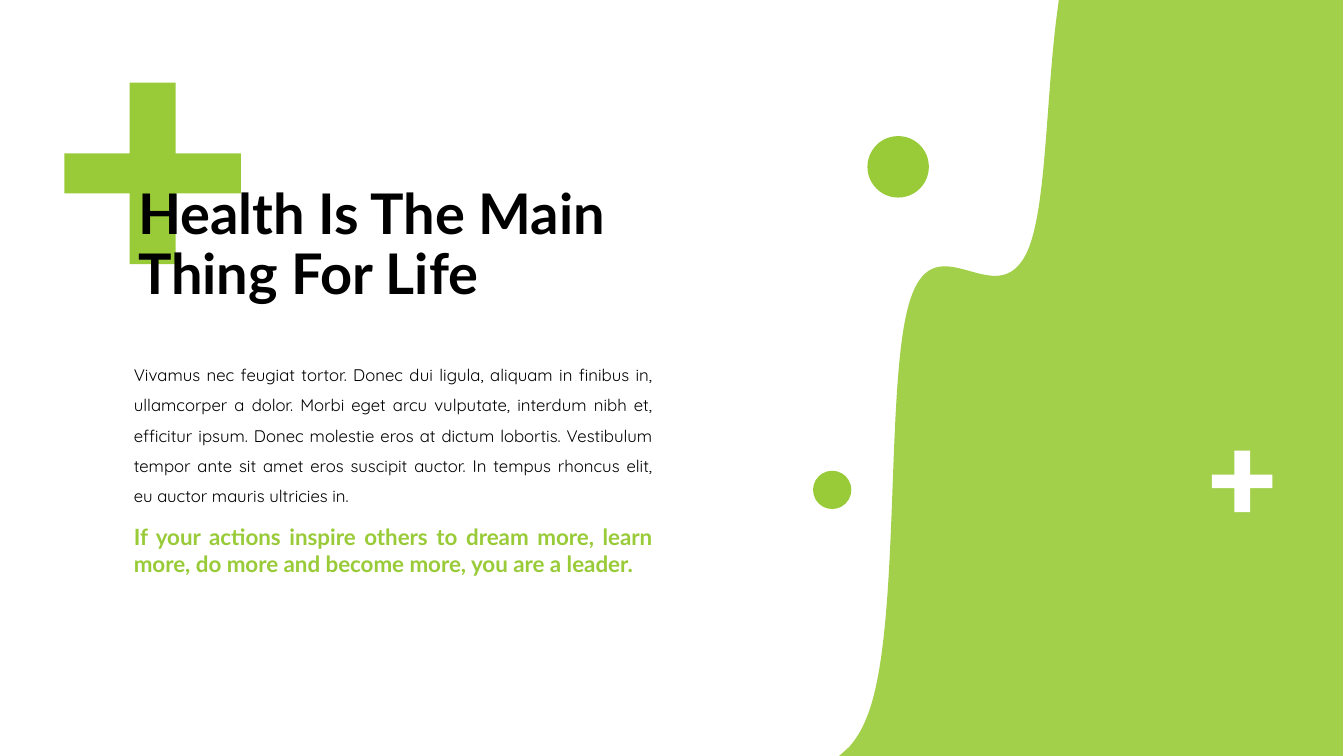
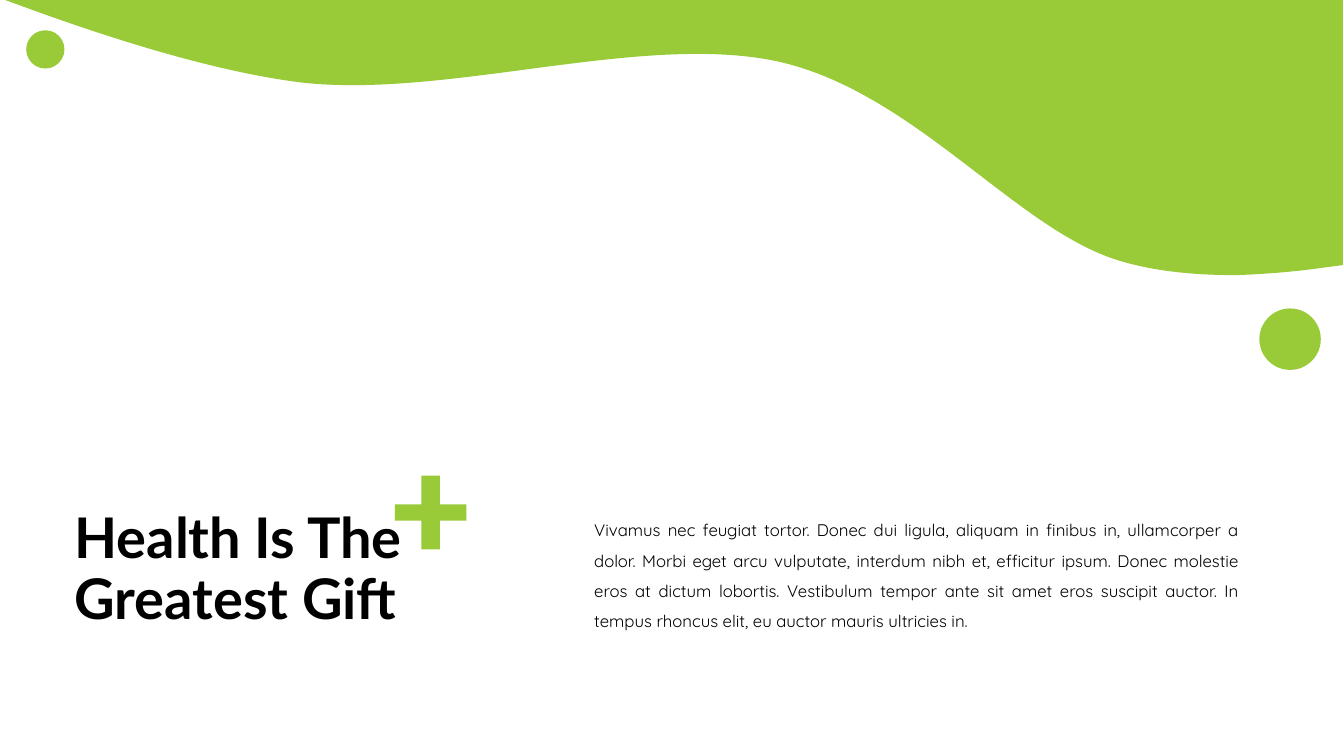
from lxml import etree
from pptx import Presentation
from pptx.dml.color import RGBColor
from pptx.enum.shapes import MSO_SHAPE
from pptx.enum.text import MSO_ANCHOR, MSO_AUTO_SIZE, PP_ALIGN
from pptx.oxml.ns import qn
from pptx.util import Pt

# Shared look: 100 px to the inch
PX = 9144
SLIDE_W, SLIDE_H = 1334, 750
GREEN, BLACK, WHITE = "99CB38", "000000", "FFFFFF"
HEAD_FONT, BODY_FONT = "Lato", "Quicksand"
TITLE_W, TITLE_H = 509, 145
BIG_DOT, SMALL_DOT = 61, 38
OVAL = MSO_SHAPE.OVAL
MIDDLE = MSO_ANCHOR.MIDDLE
LEFT, JUSTIFY = PP_ALIGN.LEFT, PP_ALIGN.JUSTIFY
FIT_SHAPE, FIT_NONE = MSO_AUTO_SIZE.SHAPE_TO_FIT_TEXT, MSO_AUTO_SIZE.NONE

BODY = (
    "Vivamus nec feugiat tortor. Donec dui ligula, aliquam in finibus in, "
    "ullamcorper a dolor. Morbi eget arcu vulputate, interdum nibh et, "
    "efficitur ipsum. Donec molestie eros at dictum lobortis. Vestibulum "
    "tempor ante sit amet eros suscipit auctor. In tempus rhoncus elit, "
    "eu auctor mauris ultricies in."
)
QUOTE = (
    "If your actions inspire others to dream more, learn more, "
    "do more and become more, you are a leader."
)

# Outlines relative to their box: pairs are corners, sixes are Bézier curves
SIDE_WAVE = [
    (218, 0), (500, 0), (500, 750), (0, 750), (10, 741),
    (16, 734, 22, 725, 26, 715),
    (63, 632, 44, 374, 71, 296),
    (97, 219, 157, 315, 187, 249),
    (205, 208, 205, 108, 215, 23),
]
TOP_WAVE = [
    (1228, 273),
    (1254, 272, 1280, 270, 1303, 267),
    (1333, 263), (1333, 0), (5, 0), (16, 4),
    (100, 35, 210, 71, 300, 82),
    (445, 98, 637, 32, 772, 61),
    (907, 91, 1007, 226, 1109, 258),
    (1147, 270, 1189, 273, 1228, 273),
]


def rgb(color):
    return RGBColor.from_string(color)


def paint(sp, color, opacity=100):
    sp.shadow.inherit = False
    sp.fill.solid()
    sp.fill.fore_color.rgb = rgb(color)
    sp.line.fill.background()
    if opacity < 100:
        clr = next(sp.element.spPr.iter(qn("a:srgbClr")))
        etree.SubElement(clr, qn("a:alpha")).set("val", str(opacity * 1000))


def bend(sp, outline):
    """Join the three lines of each six-number part into one curve."""
    lines = iter(list(sp.element.iter(qn("a:lnTo"))))
    for part in outline[1:]:
        line = next(lines)
        if len(part) == 6:
            line.addprevious(etree.Element(qn("a:cubicBezTo")))
            curve = line.getprevious()
            for step in (line, next(lines), next(lines)):
                curve.append(step[0])
                step.getparent().remove(step)


def add_outline(s, x, y, outline, color, opacity=100):
    points = [((x + part[i]) * PX, (y + part[i + 1]) * PX)
              for part in outline for i in range(0, len(part), 2)]
    builder = s.shapes.build_freeform(*points[0], scale=1.0)
    builder.add_line_segments(points[1:], close=True)
    sp = builder.convert_to_shape()
    bend(sp, outline)
    paint(sp, color, opacity)


def add_plus(s, x, y, w, h, color=GREEN):
    x1, y1 = 0.37 * w, 0.39 * h
    x2, y2 = w - x1, h - y1
    add_outline(s, x, y, [
        (x1, 0), (x2, 0), (x2, y1), (w, y1), (w, y2), (x2, y2),
        (x2, h), (x1, h), (x1, y2), (0, y2), (0, y1), (x1, y1),
    ], color)


def add_dot(s, x, y, size):
    sp = s.shapes.add_shape(OVAL, x * PX, y * PX, size * PX, size * PX)
    paint(sp, GREEN)


def write(tf, text, font, size, color, bold, align, spacing):
    tf.word_wrap = True
    p = tf.paragraphs[0]
    p.alignment = align
    p.line_spacing = spacing
    r = p.add_run()
    r.text = text
    r.font.name = font
    r.font.size = Pt(size)
    r.font.bold = bold
    r.font.color.rgb = rgb(color)


def add_text(s, x, y, w, h, text, font=BODY_FONT, size=12, color=BLACK,
             bold=False, spacing=1.5):
    sp = s.shapes.add_textbox(x * PX, y * PX, w * PX, h * PX)
    write(sp.text_frame, text, font, size, color, bold, JUSTIFY, spacing)
    sp.text_frame.auto_size = FIT_SHAPE


def set_title(s, x, y, text):
    sp = s.shapes.title
    sp.left, sp.top = x * PX, y * PX
    sp.width, sp.height = TITLE_W * PX, TITLE_H * PX
    tf = sp.text_frame
    write(tf, text, HEAD_FONT, 40, BLACK, True, LEFT, 0.9)
    tf.vertical_anchor = MIDDLE
    tf.auto_size = FIT_NONE
    # Bring the title in front of the plus sign
    sp.element.getparent().append(sp.element)


def new_slide(prs):
    s = prs.slides.add_slide(prs.slide_layouts[5])
    s.background.fill.solid()
    s.background.fill.fore_color.rgb = rgb(WHITE)
    return s


def add_article(s, x, y, w):
    """Body text with a highlighted quote below it."""
    add_text(s, x, y, w, 160, BODY)
    add_text(s, x, y + 167, w, 64, QUOTE, HEAD_FONT, 16, GREEN, True, 1.0)


def add_side_panel(s, x, y):
    """Wave on the right with its dots and white plus."""
    add_outline(s, x, y, SIDE_WAVE, GREEN, 90)
    add_dot(s, x - 26, y + 467, SMALL_DOT)
    add_dot(s, x + 28, y + 135, BIG_DOT)
    add_plus(s, x + 370, y + 447, 60, 61, WHITE)


def add_top_band(s, x, y):
    """Wave along the top with its dots."""
    add_outline(s, x, y, TOP_WAVE, GREEN)
    add_dot(s, x + 1250, y + 306, BIG_DOT)
    add_dot(s, x + 26, y + 30, SMALL_DOT)


def build_side_wave_slide(prs):
    s = new_slide(prs)
    add_side_panel(s, 833, 0)
    add_plus(s, 64, 82, 175, 180)
    add_article(s, 123, 347, 535)
    set_title(s, 127, 172, "Health Is The Main Thing For Life")


def build_top_wave_slide(prs):
    s = new_slide(prs)
    add_top_band(s, 0, 0)
    add_plus(s, 392, 472, 71, 73)
    add_text(s, 580, 501, 660, 130, BODY)
    set_title(s, 64, 494, "Health Is The Greatest Gift")


def main():
    prs = Presentation()
    prs.slide_width, prs.slide_height = SLIDE_W * PX, SLIDE_H * PX
    build_side_wave_slide(prs)
    build_top_wave_slide(prs)
    prs.save("out.pptx")


if __name__ == "__main__":
    main()
